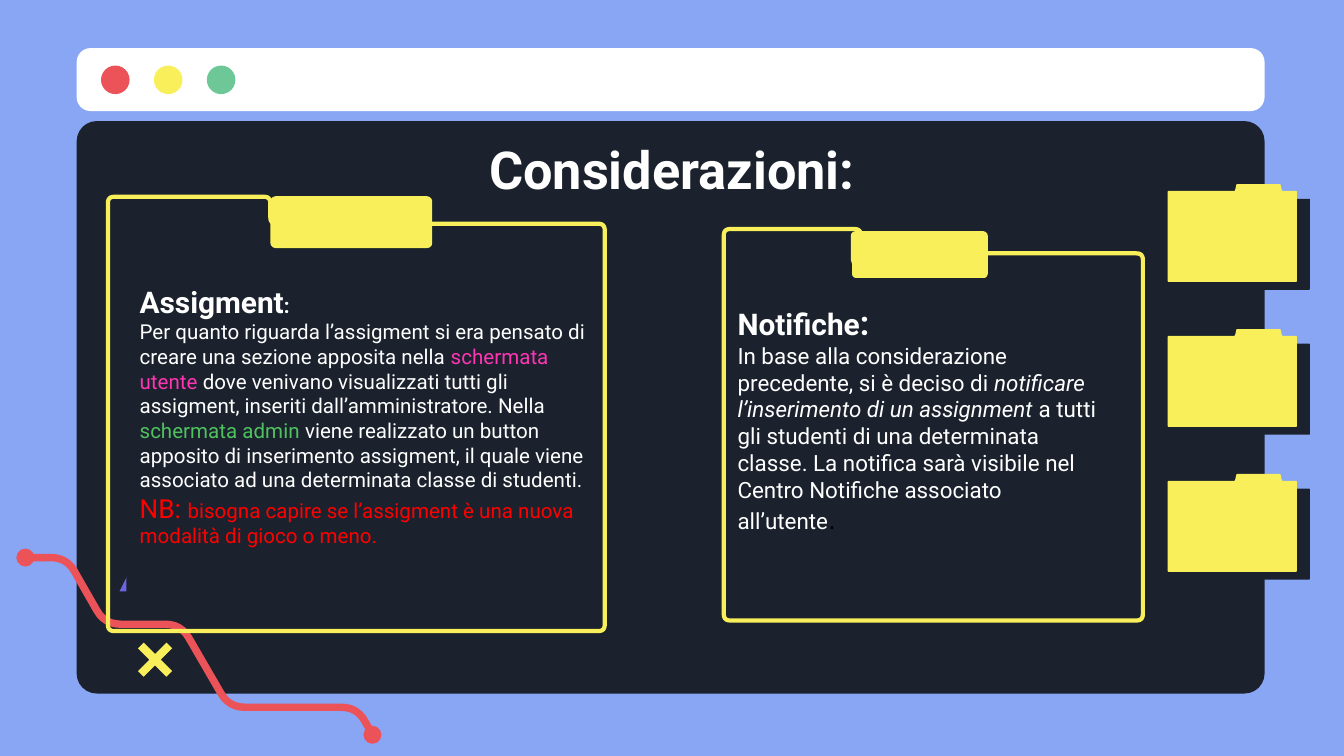
"""Build the "Considerazioni" slide: a browser window with two notes, folders and a winding path."""
from lxml.etree import SubElement
from pptx import Presentation
from pptx.dml.color import RGBColor
from pptx.enum.shapes import MSO_SHAPE
from pptx.enum.text import MSO_ANCHOR, PP_ALIGN
from pptx.oxml.ns import qn
from pptx.util import Cm, Pt

COLORS = {
    "sky": "88A6F3", "night": "1B222D", "white": "FFFFFF", "coral": "EB5358",
    "yellow": "F8EF5B", "mint": "6DC797", "violet": "6D65E0", "pink": "FF35B4",
    "green": "4FC25F", "red": "FF0000", "black": "000000",
}
FORMATS = {
    "title": {"size": Pt(28), "bold": True},
    "heading": {"size": Pt(16), "bold": True},
    "small colon": {"size": Pt(11), "bold": True},
    "large colon": {"size": Pt(18), "bold": True},
    "body": {"size": Pt(11)},
    "label": {"size": Pt(14)},
    "large body": {"size": Pt(12)},
    "emphasis": {"size": Pt(12), "italic": True},
    "stop": {"size": Pt(14), "name": "Arial"},
}
TITLE = [[("Considerazioni:", "title", "white")]]
NOTES = [
    {
        "tab": (5.11, 3.71, 3.06, 0.98),
        "panel": (2.39, 5.0, 11.46, 11.66, 5.36, 5.41),
        "frame": (2.04, 3.72, 11.43, 11.93, 5.11, 4.23),
        "bottom_margin": 1.19,
        "text": [
            [("Assigment", "heading", "white"), (":", "small colon", "white")],
            [
                ("Per quanto riguarda l’assigment si era pensato di creare una sezione "
                 "apposita nella ", "body", "white"),
                ("schermata utente ", "body", "pink"),
                ("dove venivano visualizzati tutti gli assigment, inseriti "
                 "dall’amministratore. Nella ", "body", "white"),
                ("schermata admin ", "body", "green"),
                ("viene realizzato un button apposito di inserimento assigment, il quale "
                 "viene associato ad una determinata classe di studenti.", "body", "white"),
            ],
            [
                ("NB: ", "label", "red"),
                ("bisogna capire se l’assigment è una nuova modalità di gioco o meno.",
                 "body", "red"),
            ],
        ],
    },
    {
        "tab": (16.08, 4.37, 2.59, 0.89),
        "panel": (13.69, 4.9, 21.06, 10.9, 16.1, 5.26),
        "frame": (13.68, 4.33, 21.6, 11.73, 16.27, 4.79),
        "bottom_margin": 0.25,
        "text": [
            [("Notifiche", "heading", "white"), (":", "large colon", "white")],
            [
                ("In base alla considerazione precedente, si è deciso di ",
                 "large body", "white"),
                ("notificare l’inserimento di un assignment ", "emphasis", "white"),
                ("a tutti gli studenti di una determinata classe. La notifica sarà "
                 "visibile nel Centro Notifiche associato all’utente", "large body", "white"),
                (".", "stop", "black"),
            ],
        ],
    },
]
WINDOW_BUTTONS = ["coral", "yellow", "mint"]
FOLDER_TOPS = [3.48 + 2.74 * index for index in range(3)]
FOLDER_LEFT = 22.07
FOLDER_OUTLINE = [(0, 0.13), (1.27, 0.13), (1.3, 0), (2.13, 0),
                  (2.16, 0.13), (2.44, 0.13), (2.44, 1.85), (0, 1.85)]
PATH = [(0.48, 10.54), (1.26, 10.54), (1.98, 11.8), (3.42, 11.8),
        (4.33, 13.37), (6.75, 13.37), (7.04, 13.89)]


def color(name):
    return RGBColor.from_string(COLORS[name])


def paint(shape, fill=None, line=None, width=0.08):
    shape.shadow.inherit = False
    if fill:
        shape.fill.solid()
        shape.fill.fore_color.rgb = color(fill)
    else:
        shape.fill.background()
    if line:
        shape.line.color.rgb = color(line)
        shape.line.width = Cm(width)
    else:
        shape.line.fill.background()
    return shape


def add_preset(slide, kind, box, fill, adjustment=None):
    shape = slide.shapes.add_shape(kind, *map(Cm, box))
    if adjustment is not None:
        shape.adjustments[0] = adjustment
    return paint(shape, fill)


def rounded(points, cut, closed, steps=6):
    """Replace each corner with a short curve that starts and ends at the given cut."""
    result = [] if closed else [points[0]]
    corners = range(len(points)) if closed else range(1, len(points) - 1)
    for index in corners:
        x, y = points[index]
        ends = []
        for other_x, other_y in (points[index - 1], points[(index + 1) % len(points)]):
            length = ((other_x - x) ** 2 + (other_y - y) ** 2) ** 0.5
            share = min(cut / length, 0.5)
            ends.append((x + (other_x - x) * share, y + (other_y - y) * share))
        (start_x, start_y), (end_x, end_y) = ends
        for step in range(steps + 1):
            t = step / steps
            a, b, c = (1 - t) ** 2, 2 * t * (1 - t), t ** 2
            result.append((a * start_x + b * x + c * end_x, a * start_y + b * y + c * end_y))
    return result if closed else result + [points[-1]]


def add_outline(slide, points, cut, closed=True, **style):
    start, *rest = [(Cm(x), Cm(y)) for x, y in rounded(points, cut, closed)]
    builder = slide.shapes.build_freeform(*start)
    builder.add_line_segments(rest, close=closed)
    return paint(builder.convert_to_shape(), **style)


def tabbed(left, top, right, bottom, notch_x, notch_y):
    return [(left, top), (notch_x, top), (notch_x, notch_y),
            (right, notch_y), (right, bottom), (left, bottom)]


def write(shape, paragraphs, alignment, bottom_margin=0.25):
    frame = shape.text_frame
    layout = {"word_wrap": True, "vertical_anchor": MSO_ANCHOR.MIDDLE,
              "margin_left": Cm(0.25), "margin_right": Cm(0.25),
              "margin_top": Cm(0.25), "margin_bottom": Cm(bottom_margin)}
    for name, value in layout.items():
        setattr(frame, name, value)
    for index, runs in enumerate(paragraphs):
        paragraph = frame.add_paragraph() if index else frame.paragraphs[0]
        paragraph.alignment = alignment
        for text, style, color_name in runs:
            run = paragraph.add_run()
            run.text = text
            for name, value in {"name": "Roboto", **FORMATS[style]}.items():
                setattr(run.font, name, value)
            run.font.color.rgb = color(color_name)


def add_hard_shadow(shape):
    effects = shape._element.spPr.find(qn("a:effectLst"))
    shadow = SubElement(effects, qn("a:outerShdw"), dist=str(Pt(8.2)),
                        dir=str(31 * 60000), algn="bl", rotWithShape="0")
    SubElement(shadow, qn("a:srgbClr"), val=COLORS["night"])


def main():
    presentation = Presentation()
    presentation.slide_width, presentation.slide_height = Cm(25.4), Cm(14.29)
    slide = presentation.slides.add_slide(presentation.slide_layouts[6])
    slide.background.fill.solid()
    slide.background.fill.fore_color.rgb = color("sky")

    add_preset(slide, MSO_SHAPE.ROUNDED_RECTANGLE, (1.45, 2.29, 22.45, 10.82), "night", 0.035)
    add_preset(slide, MSO_SHAPE.ROUNDED_RECTANGLE, (1.45, 0.91, 22.45, 1.19), "white", 0.22)
    for index, name in enumerate(WINDOW_BUTTONS):
        add_preset(slide, MSO_SHAPE.OVAL, (1.91 + index, 1.24, 0.54, 0.54), name)

    for top in FOLDER_TOPS:
        outline = [(FOLDER_LEFT + x, top + y) for x, y in FOLDER_OUTLINE]
        add_hard_shadow(add_outline(slide, outline, 0.02, fill="yellow"))

    add_outline(slide, PATH, 0.3, closed=False, line="coral", width=0.14)
    for x, y in (PATH[0], PATH[-1]):
        add_preset(slide, MSO_SHAPE.OVAL, (x - 0.17, y - 0.17, 0.34, 0.34), "coral")
    add_preset(slide, MSO_SHAPE.ISOSCELES_TRIANGLE, (2.26, 10.57, 0.61, 0.61), "violet")
    add_preset(slide, MSO_SHAPE.CROSS, (2.55, 12.09, 0.76, 0.76), "yellow", 0.4).rotation = 45

    title = slide.shapes.add_textbox(*map(Cm, (6.83, 2.34, 11.73, 1.68)))
    write(title, TITLE, PP_ALIGN.CENTER)

    for note in NOTES:
        add_preset(slide, MSO_SHAPE.ROUNDED_RECTANGLE, note["tab"], "yellow", 0.1)
        panel = add_outline(slide, tabbed(*note["panel"]), 0.1, fill="night")
        write(panel, note["text"], PP_ALIGN.LEFT, note["bottom_margin"])
        add_outline(slide, tabbed(*note["frame"]), 0.12, line="yellow")

    presentation.save("out.pptx")


if __name__ == "__main__":
    main()
